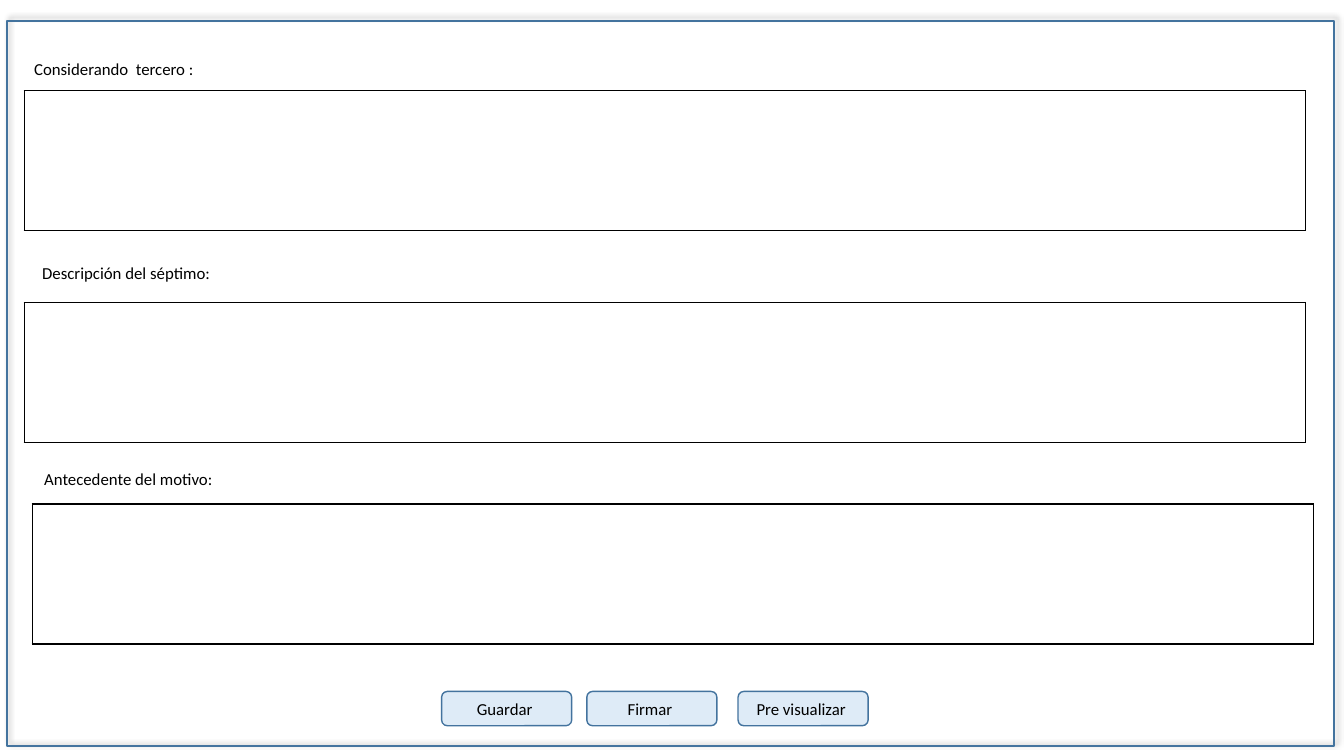
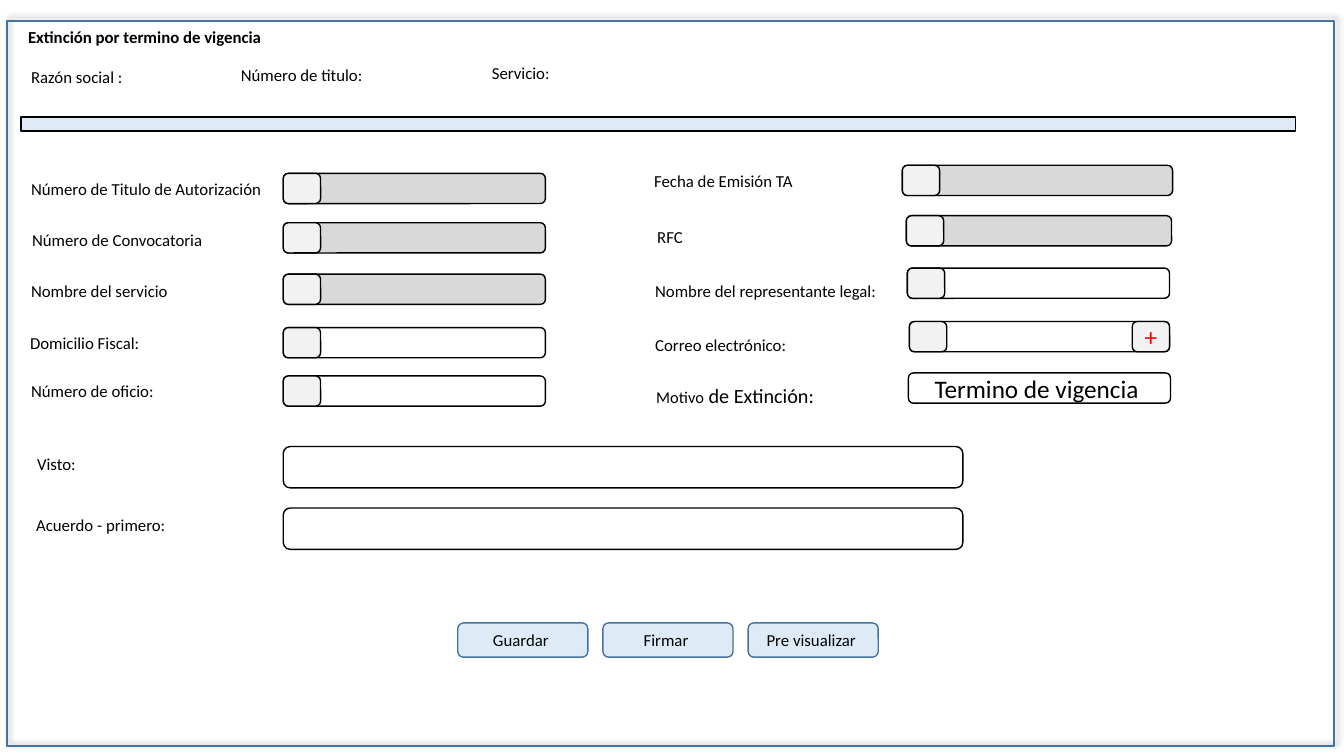
from pptx import Presentation
from pptx.dml.color import RGBColor
from pptx.enum import shapes, text
from pptx.oxml import parse_xml
from pptx.oxml.ns import nsdecls, qn
from pptx.util import Inches, Pt

BLACK = RGBColor(0, 0, 0)
WHITE = RGBColor(255, 255, 255)
RED = RGBColor(255, 0, 0)
BLUE = RGBColor(0x43, 0x73, 0x9E)
PALE = RGBColor(0xDE, 0xEB, 0xF7)
GRAY = RGBColor(0xD9, 0xD9, 0xD9)
LIGHT = RGBColor(0xF2, 0xF2, 0xF2)
FONT = "Calibri"
RECT = shapes.MSO_SHAPE.RECTANGLE
ROUND = shapes.MSO_SHAPE.ROUNDED_RECTANGLE
ROW, TAB = 0.3, 0.37

BUTTONS = ["Guardar ", "Firmar ", "Pre visualizar "]
AREAS = [
    ("Considerando  tercero :", 0.24, 0.53, 0.24, 0.9),
    ("Descripción del séptimo:", 0.32, 2.56, 0.24, 3),
    ("Antecedente del motivo:", 0.34, 4.6, 0.32, 5),
]
HEADS = [
    ("Razón social :", 0.21, 0.61),
    ("Número de titulo:", 2.29, 0.59),
    ("Servicio:", 4.78, 0.57),
]
FIELDS = [
    ("Número de Titulo de Autorización", 0.21, 1.72, 2.81, 1.72, 5.41, GRAY),
    ("Número de Convocatoria", 0.22, 2.23, 2.81, 2.21, 5.41, GRAY),
    ("Nombre del servicio", 0.21, 2.74, 2.81, 2.72, 5.41, GRAY),
    ("Domicilio Fiscal:", 0.2, 3.25, 2.81, 3.25, 5.41, WHITE),
    ("Número de oficio:", 0.21, 3.73, 2.81, 3.73, 5.41, WHITE),
    ("Fecha de Emisión TA", 6.39, 1.64, 8.95, 1.64, 11.63, GRAY),
    ("RFC", 6.42, 2.2, 8.99, 2.14, 11.62, GRAY),
    ("Nombre del representante legal:", 6.4, 2.74, 9, 2.66, 11.6, WHITE),
    ("Correo electrónico:", 6.4, 3.27, 9.02, 3.19, 11.6, WHITE),
]
NOTES = [("Visto:", 0.27, 4.45, 4.43), ("Acuerdo - primero:", 0.26, 5.06, 5.04)]


def style(run, size, color=BLACK, bold=False):
    run.font.name, run.font.size, run.font.bold = FONT, Pt(size), bold
    run.font.color.rgb = color


def box(slide, x, y, w, h, fill, line=BLACK, kind=ROUND, words="", size=12, color=BLACK):
    shape = slide.shapes.add_shape(kind, *map(Inches, (x, y, w, h)))
    if fill is None:
        shape.fill.background()
    else:
        shape.fill.solid()
        shape.fill.fore_color.rgb = fill
    shape.line.color.rgb, shape.line.width = line, Pt(1)
    shape.shadow.inherit = False
    if words:
        frame = shape.text_frame
        frame.text = words
        frame.vertical_anchor = text.MSO_ANCHOR.MIDDLE
        frame.paragraphs[0].alignment = text.PP_ALIGN.CENTER
        style(frame.paragraphs[0].runs[0], size, color)
    return shape


def label(slide, words, x, y, w=3.5, size=12, bold=False):
    frame = slide.shapes.add_textbox(*map(Inches, (x, y, w, ROW))).text_frame
    frame.word_wrap = True
    frame.vertical_anchor = text.MSO_ANCHOR.MIDDLE
    frame.text = words
    style(frame.paragraphs[0].runs[0], size, bold=bold)
    return frame.paragraphs[0]


def area(slide, x, y, w=12.71, h=1.39):
    table = slide.shapes.add_table(1, 1, *map(Inches, (x, y, w, h))).table
    table.first_row = table.horz_banding = False
    cell = table.cell(0, 0)
    props = cell._tc.get_or_add_tcPr()
    for side in ("lnL", "lnR", "lnT", "lnB"):
        props.append(parse_xml(
            f'<a:{side} {nsdecls("a")} w="12700"><a:solidFill>'
            f'<a:srgbClr val="{BLACK}"/></a:solidFill></a:{side}>'))
    cell.fill.background()


def screen(deck):
    slide = deck.slides.add_slide(deck.slide_layouts[6])
    panel = box(slide, 0.07, 0.21, 13.16, 7.19, None, BLUE, RECT)
    panel._element.spPr.find(qn("a:effectLst")).append(parse_xml(
        f'<a:outerShdw {nsdecls("a")} blurRad="{Pt(4)}" dist="{Pt(3)}" dir="18900000">'
        f'<a:srgbClr val="{BLACK}"><a:alpha val="40000"/></a:srgbClr></a:outerShdw>'))
    return slide


def buttons(slide, lefts, y):
    for words, x in zip(BUTTONS, lefts):
        box(slide, x, y, 1.29, 0.34, PALE, BLUE, words=words)


def texts(deck):
    slide = screen(deck)
    for words, x, y, left, top in AREAS:
        label(slide, words, x, y)
        area(slide, left, top)
    buttons(slide, (4.38, 5.82, 7.32), 6.86)


def form(deck):
    slide = screen(deck)
    label(slide, "Extinción por termino de vigencia", 0.18, 0.22, bold=True)
    for words, x, y in HEADS:
        label(slide, words, x, y, 2)
    box(slide, 0.21, 1.16, 12.64, 0.14, PALE, kind=RECT)
    for words, x, y, left, top, right, fill in FIELDS:
        label(slide, words, x, y)
        box(slide, left, top, right - left, ROW, fill)
        box(slide, left, top, TAB, ROW, LIGHT)
    box(slide, right - TAB, top, TAB, ROW, LIGHT, words="+", size=18, color=RED)
    cause = label(slide, "Motivo", 6.41, 3.77, 1.87, 11.7)
    more = cause.add_run()
    more.text = " de Extinción:"
    style(more, 14.4)
    box(slide, 9.01, 3.7, 2.6, ROW, WHITE, words="Termino de vigencia ", size=18)
    for words, x, y, top in NOTES:
        label(slide, words, x, y)
        box(slide, 2.81, top, 6.74, 0.41, WHITE)
    buttons(slide, [4.54 + 1.44 * i for i in range(3)], 6.18)


def main():
    deck = Presentation()
    deck.slide_width, deck.slide_height = Inches(13.33), Inches(7.5)
    texts(deck)
    form(deck)
    deck.save("out.pptx")


if __name__ == "__main__":
    main()
